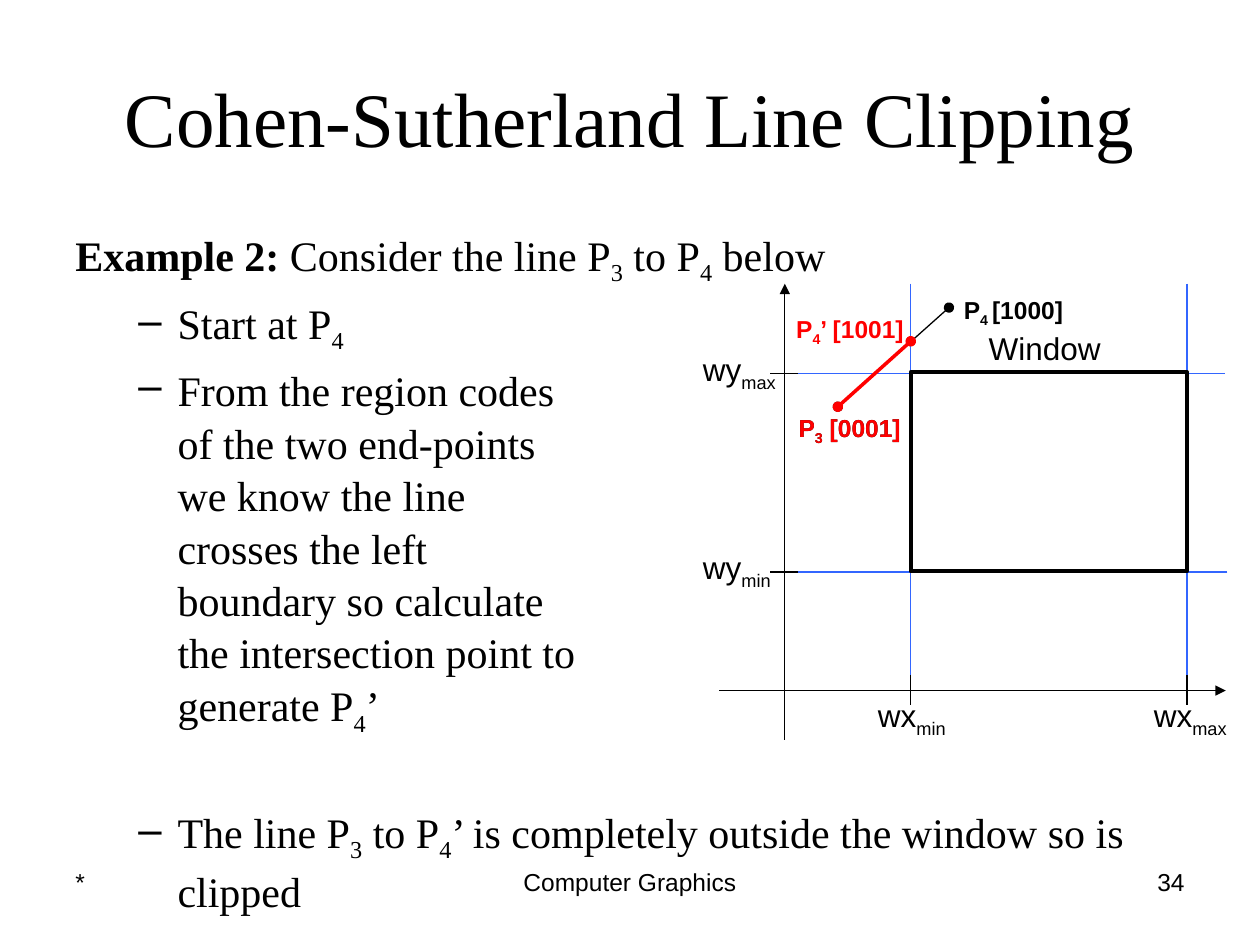
from lxml import etree
from pptx import Presentation
from pptx.dml.color import RGBColor
from pptx.enum.shapes import MSO_CONNECTOR, MSO_SHAPE
from pptx.enum.text import MSO_ANCHOR, PP_ALIGN
from pptx.oxml.ns import qn
from pptx.util import Cm, Pt

LEFT, CENTER, RIGHT = PP_ALIGN.LEFT, PP_ALIGN.CENTER, PP_ALIGN.RIGHT
MIDDLE = MSO_ANCHOR.MIDDLE
STRAIGHT = MSO_CONNECTOR.STRAIGHT
RECTANGLE, OVAL = MSO_SHAPE.RECTANGLE, MSO_SHAPE.OVAL
COLORS = {"black": "000000", "blue": "3366FF", "red": "FF0000"}
SERIF, SANS = "Times New Roman", "Arial"


def add_runs(paragraph, text, size, font, color="black", bold=False):
    for part_no, part in enumerate(text.split("_")):
        for line_no, line in enumerate(part.split("\n")):
            if line_no:
                paragraph.add_line_break()
            if not line:
                continue
            run = paragraph.add_run()
            run.text = line
            run.font.size = Pt(size)
            run.font.name = font
            run.font.bold = bold
            run.font.color.rgb = RGBColor.from_string(COLORS[color])
            if part_no % 2:
                run._r.get_or_add_rPr().set("baseline", "-25000")


def add_line(shapes, start, end, color, width=0.75, head=None, tail=None):
    line = shapes.add_connector(STRAIGHT, Cm(start[0]), Cm(start[1]), Cm(end[0]), Cm(end[1]))
    line.line.color.rgb = RGBColor.from_string(COLORS[color])
    line.line.width = Pt(width)
    outline = line.line._get_or_add_ln()
    for tag, kind in (("a:headEnd", head), ("a:tailEnd", tail)):
        if kind:
            etree.SubElement(outline, qn(tag), type=kind)
    etree.SubElement(line._element.spPr, qn("a:effectLst"))


prs = Presentation()
prs.slide_width, prs.slide_height = Cm(25.4), Cm(19.05)
slide = prs.slides.add_slide(prs.slide_layouts[5])

title = slide.shapes.title
title.left, title.top, title.width, title.height = Cm(1.27), Cm(0.76), Cm(22.86), Cm(3.18)
title.text_frame.vertical_anchor = MIDDLE
heading = title.text_frame.paragraphs[0]
heading.alignment = CENTER
add_runs(heading, "Cohen-Sutherland Line Clipping", 44, SERIF)

for text, left, width, alignment in (
    ("*", 1.27, 5.93, LEFT),
    ("Computer Graphics", 8.68, 8.04, CENTER),
    ("34", 18.2, 5.93, RIGHT),
):
    footer = slide.shapes.add_textbox(Cm(left), Cm(17.35), Cm(width), Cm(1.32)).text_frame
    footer.word_wrap = True
    footer.paragraphs[0].alignment = alignment
    add_runs(footer.paragraphs[0], text, 14, SANS)

body = slide.shapes.add_textbox(Cm(1.27), Cm(4.45), Cm(23.5), Cm(13.97)).text_frame
body.word_wrap = True
example = body.paragraphs[0]
example.line_spacing = 1.04
add_runs(example, "Example 2: ", 24, SERIF, bold=True)
add_runs(example, "Consider the line P_3_ to P_4_ below", 24, SERIF)

for step, gap in (
    ("Start at P_4_", 4.8),
    ("From the region codes\nof the two end-points\nwe know the line\ncrosses the left\n"
     "boundary so calculate\nthe intersection point to\ngenerate P_4_’", 4.8),
    ("The line P_3_ to P_4_’ is completely outside the window so is clipped", 38.3),
):
    bullet = body.add_paragraph()
    bullet.level = 1
    bullet.line_spacing = 1.04
    bullet.space_before = Pt(gap)
    properties = bullet._p.get_or_add_pPr()
    properties.set("marL", str(Cm(2.06)))
    properties.set("indent", str(-Cm(0.79)))
    etree.SubElement(properties, qn("a:buChar"), char="–")
    add_runs(bullet, step, 24, SERIF)

diagram = slide.shapes.add_group_shape().shapes
x_min, x_max, y_max, y_min = 18.36, 23.93, 7.53, 11.53
axis_x, axis_y = 15.82, 13.92
p3, p4, p4_clipped = (16.89, 8.2), (19.13, 6.2), (18.36, 6.88)

for x, bottom in ((x_min, 13.69), (x_max, 13.79)):
    add_line(diagram, (x, 5.72), (x, bottom), "blue")
for y, right, left in ((y_max, 24.69, 15.95), (y_min, 24.74, 16.05)):
    add_line(diagram, (right, y), (left, y), "blue")
add_line(diagram, (14.5, axis_y), (24.71, axis_y), "black", tail="triangle")
add_line(diagram, (axis_x, 14.91), (axis_x, 5.72), "black", tail="triangle")

window = diagram.add_shape(RECTANGLE, Cm(x_min), Cm(7.5), Cm(x_max - x_min), Cm(4.02))
window.shadow.inherit = False
window.fill.background()
window.line.color.rgb = RGBColor.from_string(COLORS["black"])
window.line.width = Pt(2.25)

for y in (y_max, y_min):
    add_line(diagram, (16.08, y), (15.52, y), "black")
for x in (x_min, x_max):
    add_line(diagram, (x, 13.61), (x, 14.22), "black")

add_line(diagram, p3, p4, "black", head="oval", tail="oval")

clip_point = diagram.add_shape(OVAL, Cm(p4_clipped[0] - 0.1), Cm(p4_clipped[1] - 0.1), Cm(0.2), Cm(0.2))
clip_point.shadow.inherit = False
clip_point.fill.solid()
clip_point.fill.fore_color.rgb = RGBColor.from_string(COLORS["red"])
clip_point.line.fill.background()

add_line(diagram, p3, p4_clipped, "red", 2, head="oval", tail="oval")

for text, left, top, width, size, color in (
    ("wy_max_", 13.92, 6.93, 2.08, 18, "black"),
    ("wy_min_", 13.92, 10.92, 1.96, 18, "black"),
    ("wx_min_", 17.45, 13.9, 1.96, 18, "black"),
    ("wx_max_", 23.01, 13.9, 2.08, 18, "black"),
    ("Window", 19.68, 6.5, 2.77, 18, "black"),
    ("P_4_’ [1001]", 15.8, 6.2, 2.72, 14, "red"),
    ("P_3_ [0001]", 15.85, 8.2, 2.57, 14, "black"),
    ("P_4 _[1000]", 19.18, 5.82, 2.51, 14, "black"),
    ("P_3_ [0001]", 15.85, 8.2, 2.57, 14, "red"),
):
    label = diagram.add_textbox(Cm(left), Cm(top), Cm(width), Cm(1.02 if size == 18 else 0.84))
    label.text_frame.word_wrap = False
    add_runs(label.text_frame.paragraphs[0], text, size, SANS, color, bold=size == 14)

prs.save("out.pptx")
